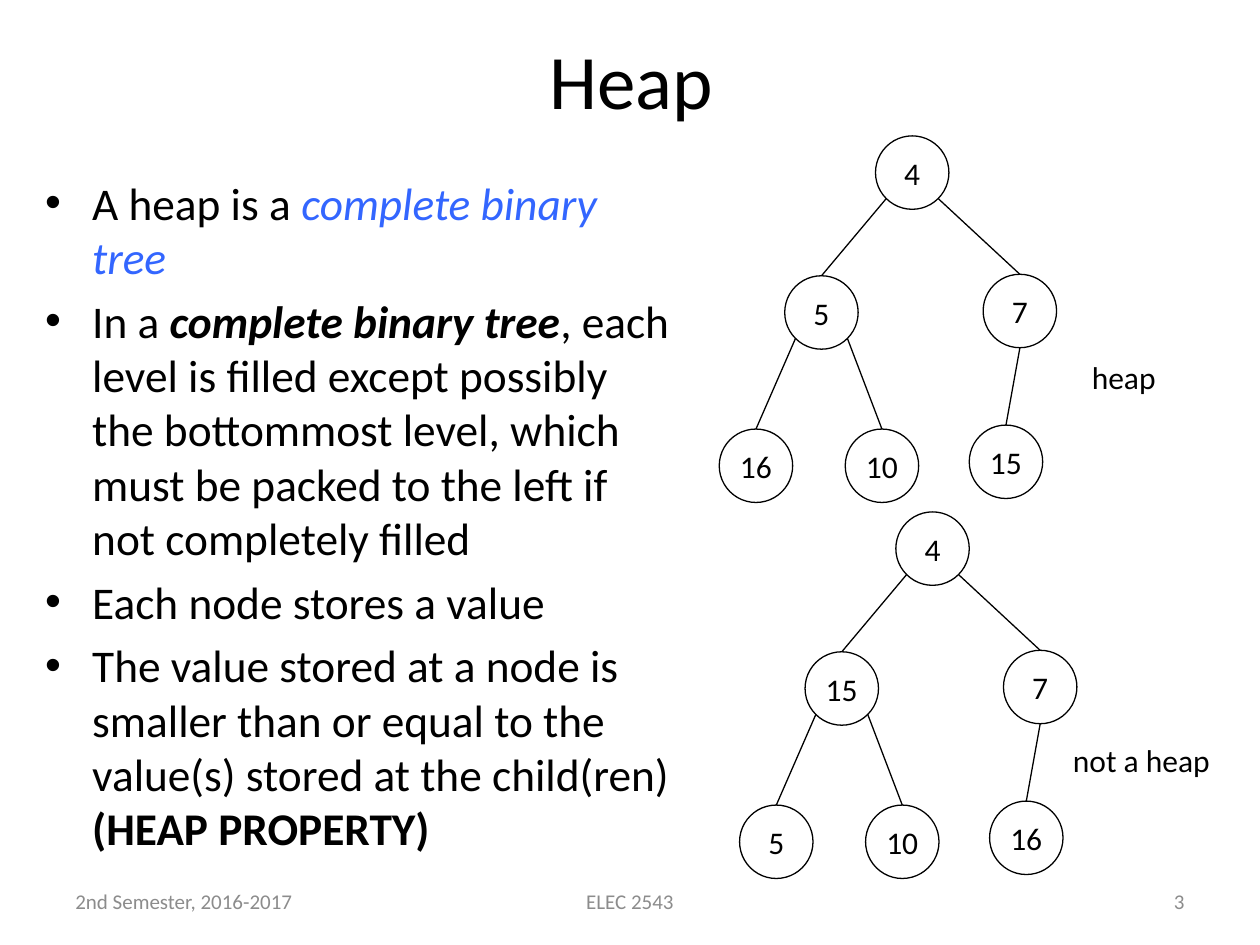
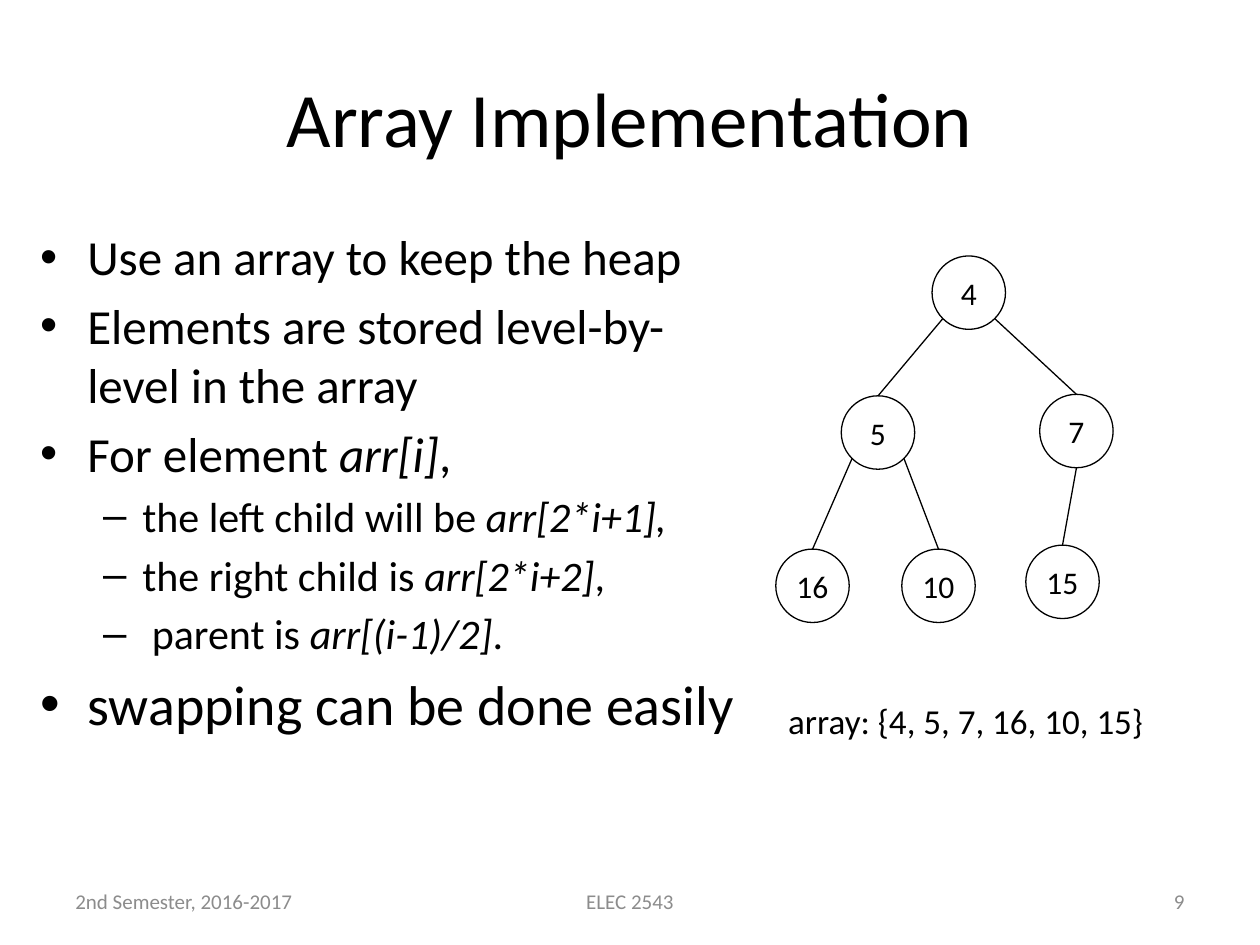
"""Build two lecture slides on heaps and their array implementation."""
from dataclasses import dataclass

from lxml import etree
from pptx import Presentation
from pptx.dml.color import RGBColor
from pptx.enum.shapes import MSO_CONNECTOR, MSO_SHAPE
from pptx.enum.text import MSO_ANCHOR, PP_ALIGN
from pptx.oxml.ns import qn
from pptx.util import Cm, Pt

LEFT, CENTER, RIGHT = PP_ALIGN.LEFT, PP_ALIGN.CENTER, PP_ALIGN.RIGHT
TOP, MIDDLE = MSO_ANCHOR.TOP, MSO_ANCHOR.MIDDLE
OVAL, STRAIGHT = MSO_SHAPE.OVAL, MSO_CONNECTOR.STRAIGHT


@dataclass(frozen=True)
class Theme:
    font: str = "Calibri"
    ink: RGBColor = RGBColor(0x00, 0x00, 0x00)
    accent: RGBColor = RGBColor(0x33, 0x66, 0xFF)
    muted: RGBColor = RGBColor(0x8C, 0x8C, 0x8C)
    title: float = 44
    dense: float = 25.9
    body: float = 28
    sub: float = 24
    large: float = 32
    caption: float = 20
    node: float = 18
    footer: float = 12
    line: float = 0.75
    space: float = 0.2


T = Theme()
PLAIN, BOLD, ITALIC, STRONG, ACCENT = "", "b", "i", "bi", "ia"

# bullet, left margin, hanging indent
LEVELS = [("\u2022", 0.95, 0.95), ("\u2013", 2.06, 0.79)]

FOOTER_TOP, FOOTER_HEIGHT = 17.66, 1.01
FOOTERS = [
    ("2nd Semester, 2016-2017", 1.27, 5.93, LEFT),
    ("ELEC 2543", 8.68, 8.04, CENTER),
]
NUMBER_LEFT, NUMBER_WIDTH = 18.2, 5.93

DIAMETER = 1.48
NODE_OFFSETS = [(0, 0), (-1.83, 2.82), (2.17, 2.79),
                (-3.15, 5.91), (-0.61, 5.91), (1.89, 5.83)]

SLIDES = [
    {
        "title": ("Heap", (1.29, 0, 22.86, 3.18)),
        "number": 3,
        "box": (0.66, 3.4, 13.18, 13.61),
        "bullets": [
            (0, T.dense, [("A heap is a ", PLAIN), ("complete binary tree", ACCENT)]),
            (0, T.dense, [("In a ", PLAIN), ("complete binary tree", STRONG),
                          (", each level is filled except possibly the bottommost level, "
                           "which must be packed to the left if not completely filled",
                           PLAIN)]),
            (0, T.dense, [("Each node stores a value", PLAIN)]),
            (0, T.dense, [("The value stored at a node is smaller than or equal to the "
                           "value(s) stored at the child(ren) ", PLAIN),
                          ("(HEAP PROPERTY)", BOLD)]),
        ],
        "trees": [((17.65, 2.74), [4, 5, 7, 16, 10, 15]),
                  ((18.06, 10.32), [4, 15, 7, 5, 10, 16])],
        "labels": [("heap", T.node, (21.76, 7.09, 1.93, 1.02)),
                   ("not a heap", T.node, (21.38, 14.81, 3.5, 1.02))],
    },
    {
        "title": ("Array Implementation", (1.27, 0.76, 22.86, 3.18)),
        "number": 9,
        "box": (0.56, 4.45, 14.88, 13.2),
        "bullets": [
            (0, T.body, [("Use an array to keep the heap", PLAIN)]),
            (0, T.body, [("Elements are stored level-by-level in the array", PLAIN)]),
            (0, T.body, [("For element ", PLAIN), ("arr[i]", ITALIC), (", ", PLAIN)]),
            (1, T.sub, [("the left child will be ", PLAIN), ("arr[2*i+1], ", ITALIC)]),
            (1, T.sub, [("the right child is ", PLAIN), ("arr[2*i+2]", ITALIC),
                        (",", PLAIN)]),
            (1, T.sub, [(" parent is ", PLAIN), ("arr[(i-1)/2]", ITALIC), (".", PLAIN)]),
            (0, T.large, [("swapping can be done easily", PLAIN)]),
        ],
        "trees": [((18.79, 5.16), [4, 5, 7, 16, 10, 15])],
        "labels": [("array: {4, 5, 7, 16, 10, 15}", T.caption,
                    (15.64, 13.97, 7.72, 1.12))],
    },
]


def add_run(p, text, size, style=PLAIN, color=T.ink):
    r = p.add_run()
    r.text = text
    r.font.name, r.font.size = T.font, Pt(size)
    r.font.bold, r.font.italic = "b" in style, "i" in style
    r.font.color.rgb = T.accent if "a" in style else color


def add_frame(s, box, anchor=TOP, wrap=True):
    tf = s.shapes.add_textbox(*map(Cm, box)).text_frame
    tf.word_wrap, tf.vertical_anchor = wrap, anchor
    return tf


def add_text(s, text, box, size, align=LEFT, color=T.ink, anchor=MIDDLE, wrap=True):
    p = add_frame(s, box, anchor, wrap).paragraphs[0]
    p.alignment = align
    add_run(p, text, size, color=color)


def add_bullets(s, box, bullets):
    tf = add_frame(s, box)
    for i, (level, size, runs) in enumerate(bullets):
        p = tf.add_paragraph() if i else tf.paragraphs[0]
        p.level, p.space_before = level, Pt(size * T.space)
        char, margin, hanging = LEVELS[level]
        pPr = p._p.get_or_add_pPr()
        pPr.set("marL", str(Cm(margin)))
        pPr.set("indent", str(-Cm(hanging)))
        etree.SubElement(pPr, qn("a:buFont")).set("typeface", "Arial")
        etree.SubElement(pPr, qn("a:buChar")).set("char", char)
        for text, style in runs:
            add_run(p, text, size, style)


def set_line(sp):
    sp.line.color.rgb, sp.line.width = T.ink, Pt(T.line)


def add_node(group, x, y, value):
    sp = group.shapes.add_shape(OVAL, Cm(x), Cm(y), Cm(DIAMETER), Cm(DIAMETER))
    sp.shadow.inherit = False
    sp.fill.background()
    set_line(sp)
    tf = sp.text_frame
    tf.word_wrap, tf.vertical_anchor = False, MIDDLE
    p = tf.paragraphs[0]
    p.alignment = CENTER
    add_run(p, str(value), T.node)


def add_edge(group, parent, child, side):
    radius = DIAMETER / 2
    diagonal = radius * 0.5 ** 0.5
    x = parent[0] + radius + side * diagonal
    y = parent[1] + radius + (diagonal if side else radius)
    sp = group.shapes.add_connector(
        STRAIGHT, Cm(x), Cm(y), Cm(child[0] + radius), Cm(child[1]))
    set_line(sp)
    etree.SubElement(sp._element.spPr, qn("a:effectLst"))


def add_tree(s, root, values):
    group = s.shapes.add_group_shape()
    spots = [(root[0] + dx, root[1] + dy) for dx, dy in NODE_OFFSETS]
    for (x, y), value in zip(spots, values):
        add_node(group, x, y, value)
    for i in range(1, len(spots)):
        parent = (i - 1) // 2
        only_child = 2 * parent + 2 >= len(spots)
        side = 0 if only_child else (-1 if i % 2 else 1)
        add_edge(group, spots[parent], spots[i], side)


def add_footers(s, number):
    last = (str(number), NUMBER_LEFT, NUMBER_WIDTH, RIGHT)
    for text, left, width, align in FOOTERS + [last]:
        add_text(s, text, (left, FOOTER_TOP, width, FOOTER_HEIGHT),
                 T.footer, align, T.muted)


prs = Presentation()
prs.slide_width, prs.slide_height = Cm(25.4), Cm(19.05)
for content in SLIDES:
    s = prs.slides.add_slide(prs.slide_layouts[6])
    title, box = content["title"]
    add_text(s, title, box, T.title, CENTER)
    add_bullets(s, content["box"], content["bullets"])
    for root, values in content["trees"]:
        add_tree(s, root, values)
    for text, size, box in content["labels"]:
        add_text(s, text, box, size, anchor=TOP, wrap=False)
    add_footers(s, content["number"])
prs.save("out.pptx")
